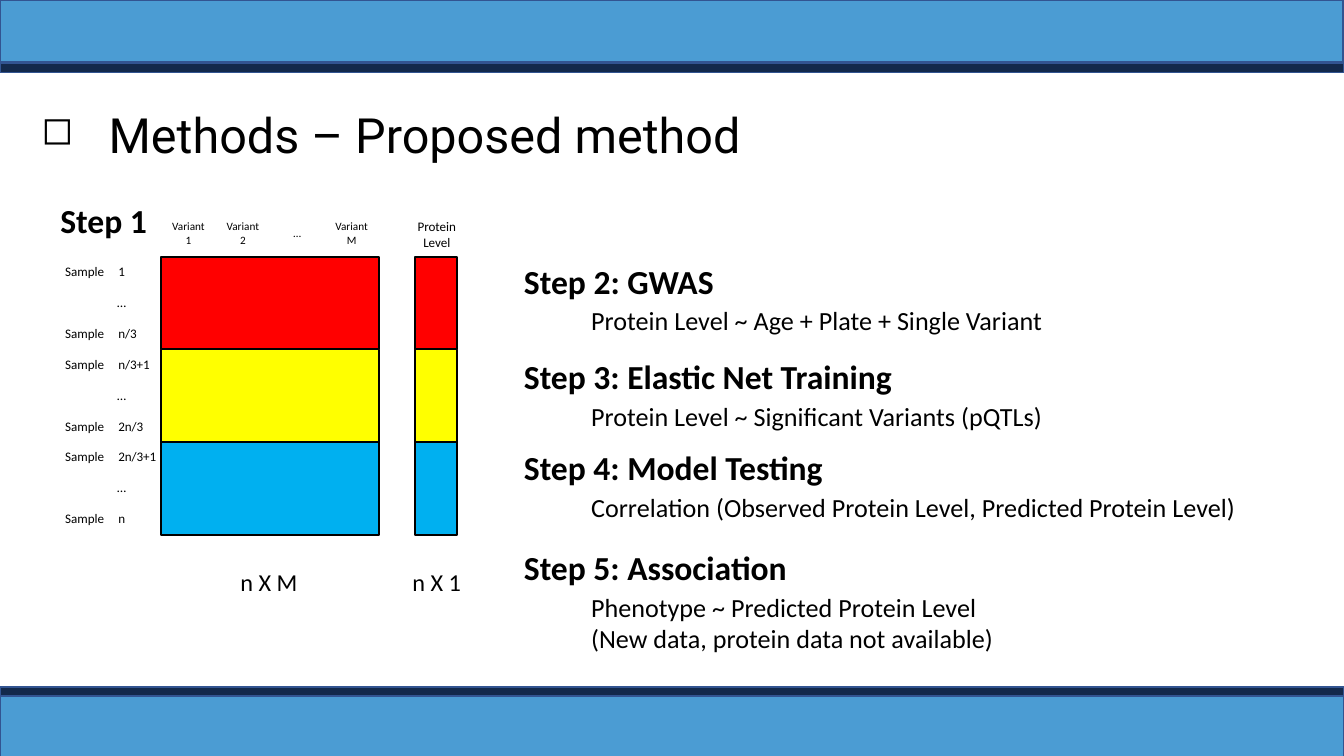
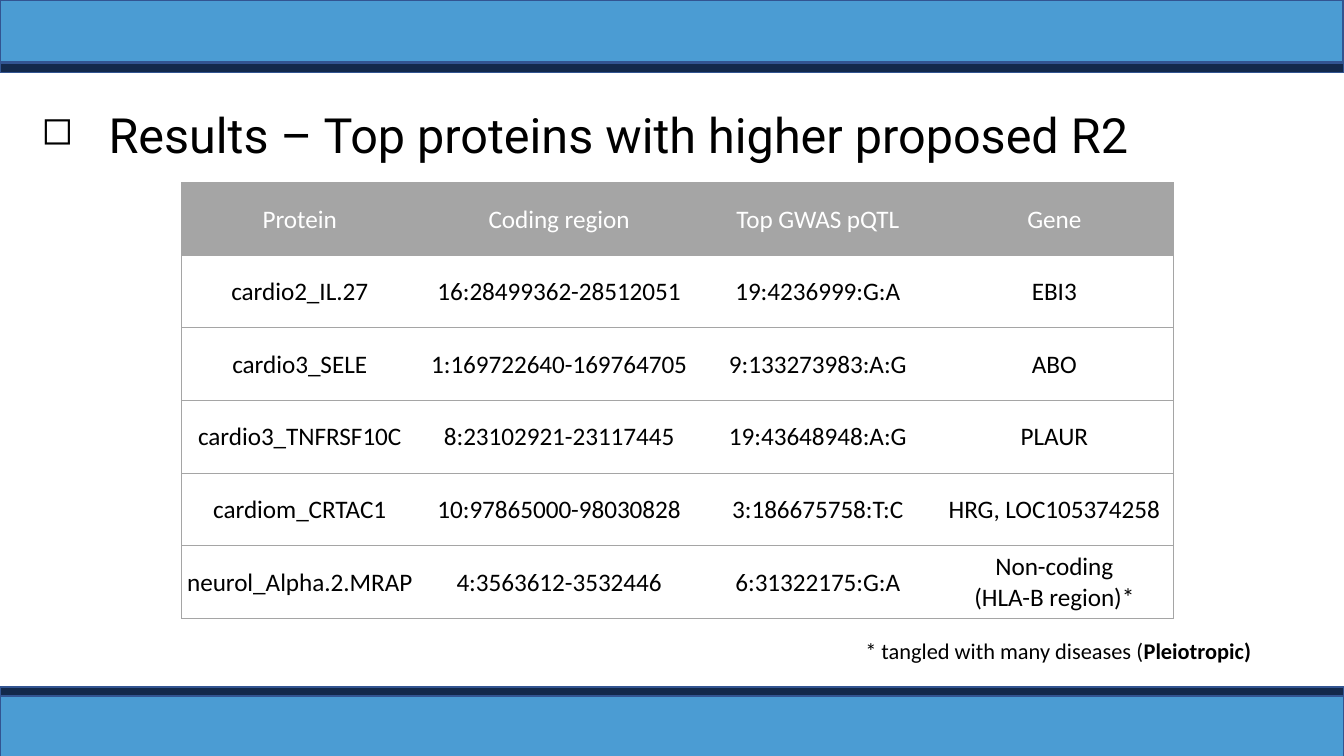
"""Build two slides on a protein prediction study: method and results."""
from dataclasses import dataclass

from lxml.etree import SubElement
from pptx import Presentation
from pptx.dml.color import RGBColor as RGB
from pptx.enum.shapes import MSO_SHAPE as SHAPE
from pptx.enum.text import MSO_ANCHOR as ANCHOR, MSO_AUTO_SIZE as FIT, PP_ALIGN as ALIGN
from pptx.oxml.ns import qn
from pptx.util import Inches, Pt


@dataclass(frozen=True)
class Theme:
    """Colours, fonts and type sizes of the deck."""
    sky: str = "4B9CD3"
    navy: str = "13294B"
    edge: str = "325491"
    ink: str = "000000"
    paper: str = "FFFFFF"
    grey: str = "A5A5A5"
    folds: tuple = ("FF0000", "FFFF00", "00B0F0")
    title_font: str = "Roboto"
    font: str = "Calibri"
    title: float = 26
    step: float = 18
    detail: float = 14
    cell: float = 13.5
    size_label: float = 13
    note: float = 12
    sample: float = 7
    variant: float = 6


T = Theme()
NO_GRID = "{2D5ABB26-0587-4C30-8999-92F81FD0307C}"
GRID_TOP, FOLD_H = 1.91, 0.69
STEPS = [
    (1.89, 6.01, 0.67, "Step 2: GWAS", "Protein Level ~ Age + Plate + Single Variant"),
    (2.6, 5.8, 0.67, "Step 3: Elastic Net Training",
     "Protein Level ~ Significant Variants (pQTLs)"),
    (3.28, 5.87, 0.67, "Step 4: Model Testing",
     "Correlation (Observed Protein Level, Predicted Protein Level)"),
    (4.02, 5.87, 0.94, "Step 5: Association",
     "Phenotype ~ Predicted Protein Level\n(New data, protein data not available)"),
]
SAMPLE_RANGES = [("1", "n/3"), ("n/3+1", "2n/3"), ("2n/3+1", "n")]
RESULTS = [
    ("Protein", "Coding region", "Top GWAS pQTL", "Gene"),
    ("cardio2_IL.27", "16:28499362-28512051", "19:4236999:G:A", "EBI3"),
    ("cardio3_SELE", "1:169722640-169764705", "9:133273983:A:G", "ABO"),
    ("cardio3_TNFRSF10C", "8:23102921-23117445", "19:43648948:A:G", "PLAUR"),
    ("cardiom_CRTAC1", "10:97865000-98030828", "3:186675758:T:C", "HRG, LOC105374258"),
    ("neurol_Alpha.2.MRAP", "4:3563612-3532446", "6:31322175:G:A",
     "Non-coding\n(HLA-B region)*"),
]


def style(p, size, color=T.ink, bold=False, font=T.font, align=None):
    """Format every run of a paragraph."""
    p.alignment = align
    for r in p.runs:
        r.font.size, r.font.bold, r.font.name = Pt(size), bold, font
        r.font.color.rgb = RGB.from_string(color)
    if not p.runs:
        p._p.get_or_add_endParaRPr().set("sz", str(int(size * 100)))


def indent(p, left, first=0):
    """Set the left margin and first-line indent of a paragraph."""
    pPr = p._p.get_or_add_pPr()
    pPr.set("marL", str(Inches(left)))
    pPr.set("indent", str(Inches(first)))
    return pPr


def add_box(shapes, x, y, w, h, fill, line):
    """Add a flat outlined rectangle."""
    sp = shapes.add_shape(SHAPE.RECTANGLE, Inches(x), Inches(y), Inches(w), Inches(h))
    sp.shadow.inherit = False
    sp.fill.solid()
    sp.fill.fore_color.rgb = RGB.from_string(fill)
    sp.line.color.rgb = RGB.from_string(line)
    sp.line.width = Pt(1)


def add_text(s, x, y, w, h, text, size, wrap=True, **look):
    """Add a text box and return its text frame."""
    tf = s.shapes.add_textbox(Inches(x), Inches(y), Inches(w), Inches(h)).text_frame
    tf.word_wrap = wrap
    tf.auto_size = FIT.SHAPE_TO_FIT_TEXT
    tf.text = text
    for p in tf.paragraphs:
        style(p, size, **look)
    return tf


def add_step(s, y, w, h, heading, detail):
    """Add a step heading with its indented detail lines."""
    tf = add_text(s, 3.8, y, w, h, f"{heading}\n{detail}", T.detail)
    head, first, *_ = tf.paragraphs
    style(head, T.step, bold=True)
    first.space_before = Pt(2)
    for p in tf.paragraphs[1:]:
        indent(p, 0.5)


def add_fold_stack(s, x, w):
    """Add a group of three stacked sample folds."""
    group = s.shapes.add_group_shape()
    for i, color in enumerate(T.folds):
        add_box(group.shapes, x, GRID_TOP + i * FOLD_H, w, FOLD_H, color, T.ink)


def add_grid(s, x, y, widths, row_h, rows, size, margin=0):
    """Add an unfilled, unruled table with centred text."""
    frame = s.shapes.add_table(len(rows), len(widths), Inches(x), Inches(y),
                               Inches(sum(widths)), Inches(row_h * len(rows)))
    table = frame.table
    table.first_row = table.horz_banding = False
    table._tbl.tblPr.find(qn("a:tableStyleId")).text = NO_GRID
    for col, w in zip(table.columns, widths):
        col.width = Inches(w)
    for row, texts in zip(table.rows, rows):
        row.height = Inches(row_h)
        for cell, text in zip(row.cells, texts):
            cell.margin_left = cell.margin_right = cell.margin_top = Inches(margin)
            cell.margin_bottom = 0
            cell.vertical_anchor = ANCHOR.MIDDLE
            cell.text = text
            cell.fill.background()
            for p in cell.text_frame.paragraphs:
                style(p, size, align=ALIGN.CENTER)
    return table


def rule_cell(cell, sides):
    """Draw thin grey borders on the given sides, named in L, R, T, B order."""
    tcPr = cell._tc.get_or_add_tcPr()
    for i, side in enumerate(sides):
        ln = SubElement(tcPr, qn(f"a:ln{side}"), w=str(Pt(0.5)))
        SubElement(SubElement(ln, qn("a:solidFill")), qn("a:srgbClr"), val=T.grey)
        tcPr.insert(i, ln)


def add_sample_labels(s):
    """Add the sample ranges beside the variant matrix."""
    rows = []
    for first, last in SAMPLE_RANGES:
        rows += [("Sample", first), ("…", ""), ("Sample", last)]
    table = add_grid(s, 0.38, GRID_TOP, (0.5, 0.55), FOLD_H / 3, rows, T.sample)
    for i in range(len(rows)):
        if i % 3 == 1:
            table.cell(i, 0).merge(table.cell(i, 1))
        else:
            table.cell(i, 1).text_frame.paragraphs[0].alignment = ALIGN.LEFT


def add_results(s):
    """Add the ruled results table with its grey header."""
    table = add_grid(s, 1.35, 1.36, (1.76, 2.1, 1.75, 1.77), 0.54, RESULTS, T.cell, 0.01)
    last = len(table.columns) - 1
    for row in table.rows:
        for j, cell in enumerate(row.cells):
            rule_cell(cell, "L" * (j == 0) + "R" * (j == last) + "TB")
    for cell in table.rows[0].cells:
        cell.fill.solid()
        cell.fill.fore_color.rgb = RGB.from_string(T.grey)
        style(cell.text_frame.paragraphs[0], T.cell, T.paper, align=ALIGN.CENTER)


def add_slide(prs, title):
    """Add a blank slide with bands and a bulleted title."""
    s = prs.slides.add_slide(prs.slide_layouts[6])
    for y, w, h, fill in ((5.18, 10, 0.45, T.sky), (5.11, 10, 0.07, T.navy),
                          (0, 9.99, 0.46, T.sky), (0.47, 10, 0.07, T.navy)):
        add_box(s.shapes, 0, y, w, h, fill, T.edge)
    tf = add_text(s, 0.21, 0.73, 9.66, 0.54, title, T.title, font=T.title_font)
    pPr = indent(tf.paragraphs[0], 0.5, -0.5)
    SubElement(pPr, qn("a:buSzPct"), val="80000")
    SubElement(pPr, qn("a:buChar"), char="◻")
    return s


def build_method(prs):
    """Build the slide on the proposed method."""
    s = add_slide(prs, "Methods – Proposed method")
    add_fold_stack(s, 1.2, 1.62)
    add_sample_labels(s)
    variants = ("Variant\n1", "Variant\n2", "…", "Variant\nM")
    add_grid(s, 1.2, 1.63, [1.62 / 4] * 4, 0.22, [variants], T.variant)
    add_fold_stack(s, 3.09, 0.31)
    add_text(s, 2.93, 1.58, 0.64, 0.34, "Protein Level", T.sample, align=ALIGN.CENTER)
    add_text(s, 1.69, 4.17, 0.65, 0.32, "n X M", T.size_label, wrap=False)
    add_text(s, 2.97, 4.17, 0.62, 0.32, "n X 1", T.size_label, wrap=False)
    for step in STEPS[:3]:
        add_step(s, *step)
    add_text(s, 0.35, 1.44, 0.85, 0.4, "Step 1", T.step, wrap=False, bold=True)
    add_step(s, *STEPS[3])


def build_results(prs):
    """Build the slide on the top proteins."""
    s = add_slide(prs, "Results – Top proteins with higher proposed R2")
    add_results(s)
    tf = add_text(s, 6.34, 4.69, 3.23, 0.3, "* tangled with many diseases (", T.note)
    p = tf.paragraphs[0]
    p.add_run().text = "Pleiotropic)"
    style(p, T.note)
    p.runs[1].font.bold = True


def main():
    """Create and save the deck."""
    prs = Presentation()
    prs.slide_width = Inches(10)
    prs.slide_height = prs.slide_width * 9 // 16
    build_method(prs)
    build_results(prs)
    prs.save("out.pptx")


if __name__ == "__main__":
    main()
